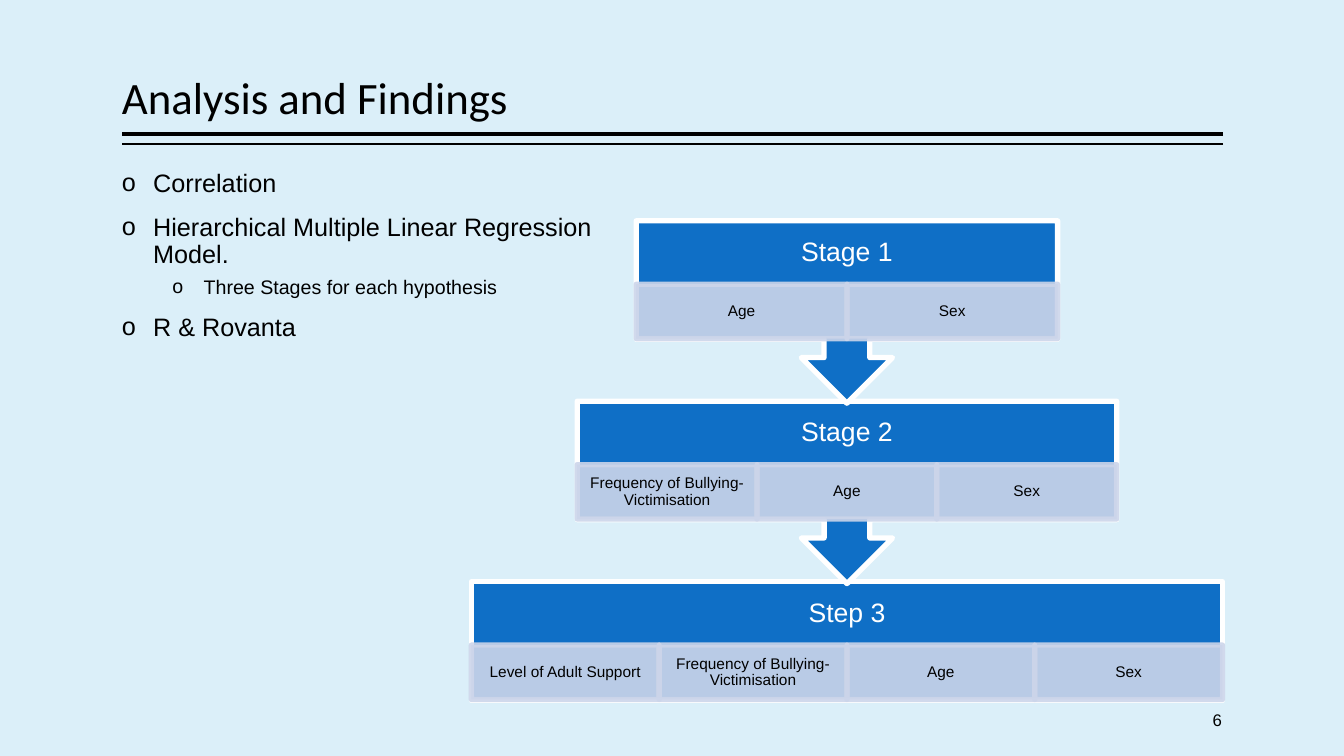
"""Build the Analysis and Findings slide with its three-stage regression diagram."""
from lxml.etree import SubElement
from pptx import Presentation
from pptx.dml.color import RGBColor
from pptx.enum.shapes import MSO_CONNECTOR, MSO_SHAPE
from pptx.enum.text import MSO_ANCHOR, PP_ALIGN
from pptx.oxml.ns import qn
from pptx.util import Inches, Pt

COLORS = {"background": "DBEFF9", "ink": "000000", "stage": "0F6FC6",
          "outline": "FFFFFF", "predictor": "CCD5EA"}


def color(name):
    """Return the named palette colour."""
    return RGBColor.from_string(COLORS[name])


def write(shape, text, size, ink, align, insets, font="Arial", anchor=MSO_ANCHOR.MIDDLE):
    """Fill a shape with evenly formatted lines of text."""
    frame = shape.text_frame
    frame.word_wrap = True
    frame.vertical_anchor = anchor
    frame.margin_left, frame.margin_top, frame.margin_right, frame.margin_bottom = map(Inches, insets)
    frame.text = text
    for paragraph in frame.paragraphs:
        paragraph.alignment = align
        paragraph.line_spacing = 0.9
        paragraph.font.name = font
        paragraph.font.size = Pt(size)
        paragraph.font.color.rgb = color(ink)
    return frame


presentation = Presentation()
presentation.slide_width = Inches(13.33)
presentation.slide_height = Inches(7.5)
slide = presentation.slides.add_slide(presentation.slide_layouts[5])
slide.background.fill.solid()
slide.background.fill.fore_color.rgb = color("background")

for top, weight in [(1.33, 3), (1.43, 1)]:
    rule = slide.shapes.add_connector(
        MSO_CONNECTOR.STRAIGHT, Inches(12.13), Inches(top), Inches(1.21), Inches(top))
    rule.line.color.rgb = color("ink")
    rule.line.width = Pt(weight)
    SubElement(rule._element.spPr, qn("a:effectLst"))

text_insets = (0, 0.05, 0, 0.05)
title = slide.shapes.title
title.left, title.top, title.width, title.height = map(Inches, (1.21, 0.08, 10.92, 1.2))
write(title, "Analysis and Findings", 32, "ink", PP_ALIGN.LEFT, text_insets,
      "Calibri", MSO_ANCHOR.BOTTOM)

bullets = [("Correlation", 0), ("Hierarchical Multiple Linear Regression Model.", 0),
           ("Three Stages for each hypothesis", 1), ("R & Rovanta", 0)]
bullet_styles = [(18, 12, 0.31), (14, 6, 0.81)]
body = slide.shapes.add_textbox(Inches(1.21), Inches(1.64), Inches(5.37), Inches(1.87))
body_frame = write(body, "\n".join(text for text, level in bullets), 18, "ink",
                   PP_ALIGN.LEFT, text_insets, anchor=MSO_ANCHOR.TOP)
for paragraph, (text, level) in zip(body_frame.paragraphs, bullets):
    size, space_before, indent = bullet_styles[level]
    paragraph.level = level
    paragraph.font.size = Pt(size)
    paragraph.space_before = Pt(space_before)
    properties = paragraph._p.get_or_add_pPr()
    properties.set("marL", str(Inches(indent)))
    properties.set("indent", str(Inches(-0.31)))
    for tag, attributes in [("a:buFont", {"typeface": "Arial"}), ("a:buChar", {"char": "o"})]:
        bullet = properties.makeelement(qn(tag), attributes)
        properties.find(qn("a:defRPr")).addprevious(bullet)

stages = [
    ("Stage 1", 4.18, ["Age", "Sex"]),
    ("Stage 2", 5.35, ["Frequency of Bullying-Victimisation", "Age", "Sex"]),
    ("Step 3", 7.45, ["Level of Adult Support", "Frequency of Bullying-Victimisation", "Age", "Sex"]),
]
center, first_top, pitch = 8.4, 2.19, 1.79
for index, (label, width, predictors) in reversed(list(enumerate(stages))):
    left = center - width / 2
    top = first_top + index * pitch
    is_last = index == len(stages) - 1
    outline = MSO_SHAPE.RECTANGLE if is_last else MSO_SHAPE.DOWN_ARROW_CALLOUT
    stage = slide.shapes.add_shape(
        outline, Inches(left), Inches(top), Inches(width), Inches(1.18 if is_last else 1.81))
    stage.shadow.inherit = False
    stage.fill.solid()
    stage.fill.fore_color.rgb = color("stage")
    stage.line.color.rgb = color("outline")
    stage.line.width = Pt(3.78)
    write(stage, label, 19, "outline", PP_ALIGN.CENTER, (0.15, 0.15, 0.15, 0.69))

    cell_width = width / len(predictors)
    for column, predictor in enumerate(predictors):
        cell = slide.shapes.add_shape(
            MSO_SHAPE.RECTANGLE, Inches(left + column * cell_width), Inches(top + 0.63),
            Inches(cell_width), Inches(0.54))
        cell.shadow.inherit = False
        cell.fill.solid()
        cell.fill.fore_color.rgb = color("predictor")
        cell.line.color.rgb = color("predictor")
        cell.line.width = Pt(3.78)
        for paint in cell._element.spPr.iter(qn("a:srgbClr")):
            SubElement(paint, qn("a:alpha"), val="90000")
        write(cell, predictor, 11, "ink", PP_ALIGN.CENTER, (0.09, 0.02, 0.09, 0.02))

page_number = slide.shapes.add_textbox(Inches(10.12), Inches(6.95), Inches(2), Inches(0.4))
write(page_number, "6", 12, "ink", PP_ALIGN.RIGHT, text_insets)

presentation.save("out.pptx")
